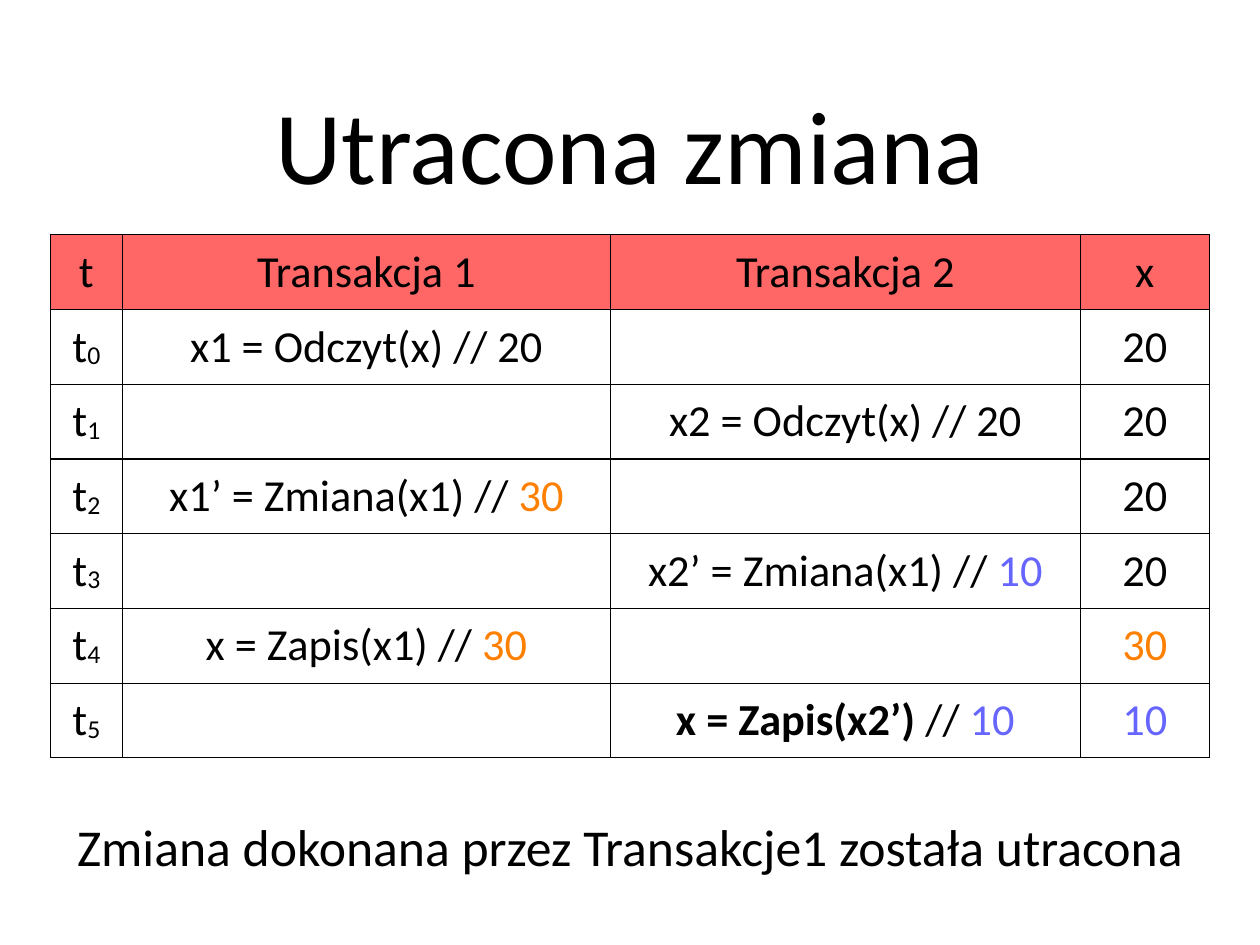
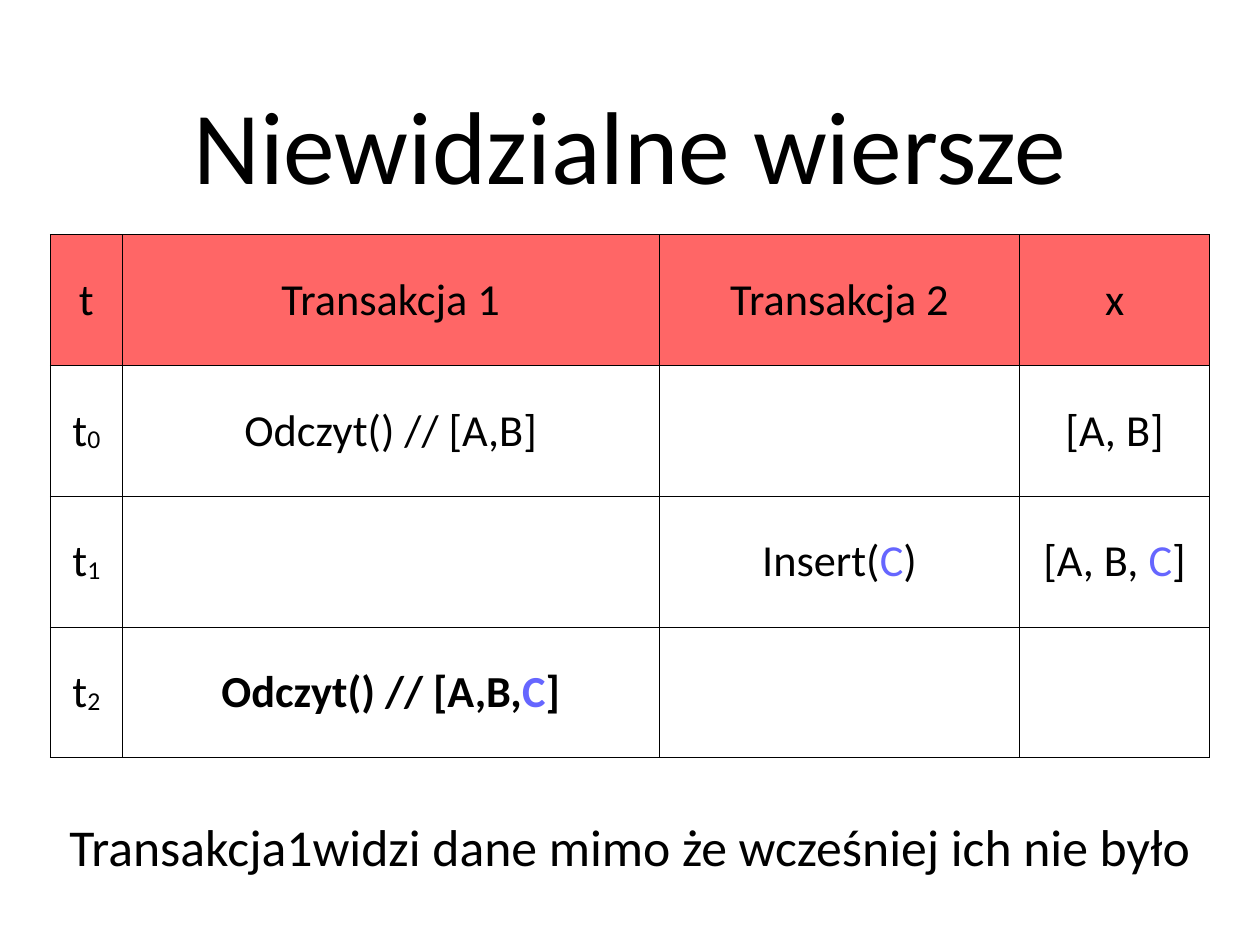
from lxml.etree import SubElement
from pptx import Presentation
from pptx.dml.color import RGBColor
from pptx.enum.text import MSO_ANCHOR, PP_ALIGN
from pptx.oxml.ns import qn
from pptx.util import Inches, Pt

INK = RGBColor(0, 0, 0)
PAPER = RGBColor(255, 255, 255)
CORAL = RGBColor(255, 102, 102)
AMBER = RGBColor(255, 128, 0)
BLUE = RGBColor(102, 102, 255)
FACE = "Calibri"
WIDE, HIGH = 14.22, 10.66
SIDE, TOP, DEPTH = 0.57, 2.65, 5.9
TITLE = (1.39, 0.28, WIDE - 2 * 1.39, 2.67)
NOTE = (0, 9.15, WIDE, 0.79)
HEADS = ("t", "Transakcja 1", "Transakcja 2", "x")

TEN = ("10", {"tone": BLUE})
AMBER_30 = ("30", {"tone": AMBER})
NEW = ("C", {"tone": BLUE})
BOLD = {"bold": True}

SLIDES = [
    {
        "title": "Utracona zmiana",
        "note": "Zmiana dokonana przez Transakcje1 została utracona",
        "cols": (0.81, 5.51, 5.3, 1.46),
        "steps": [
            (["x1 = Odczyt(x) // 20"], [], ["20"]),
            ([], ["x2 = Odczyt(x) // 20"], ["20"]),
            (["x1’ = Zmiana(x1) // ", AMBER_30], [], ["20"]),
            ([], ["x2’ = Zmiana(x1) // ", TEN], ["20"]),
            (["x = Zapis(x1) // ", AMBER_30], [], [AMBER_30]),
            ([], [("x = Zapis(x2’) ", BOLD), "// ", TEN], [TEN]),
        ],
    },
    {
        "title": "Niewidzialne wiersze",
        "note": "Transakcja1widzi dane mimo że wcześniej ich nie było",
        "cols": (0.81, 6.06, 4.07, 2.14),
        "steps": [
            (["Odczyt() // [A,B]"], [], ["[A, B]"]),
            ([], ["Insert(", NEW, ")"], ["[A, B, ", NEW, "]"]),
            ([("Odczyt() // [A,B,", BOLD), ("C", {"tone": BLUE, "bold": True}),
              ("]", BOLD)], [], []),
        ],
    },
]


def style(run, size, tone=INK, bold=False, sub=False):
    font = run.font
    font.name, font.size, font.bold = FACE, Pt(size), bold
    font.color.rgb = tone
    if sub:
        run._r.get_or_add_rPr().set("baseline", "-6000")


def add_line(slide, text, box, size):
    frame = slide.shapes.add_textbox(*map(Inches, box)).text_frame
    frame.word_wrap = True
    frame.vertical_anchor = MSO_ANCHOR.MIDDLE
    frame.margin_left = frame.margin_right = 0
    frame.margin_top = frame.margin_bottom = 0
    frame.text = text
    para = frame.paragraphs[0]
    para.alignment = PP_ALIGN.CENTER
    style(para.runs[0], size)


def add_edges(cell):
    props = cell._tc.get_or_add_tcPr()
    for side in ("lnL", "lnR", "lnT", "lnB"):
        line = SubElement(props, qn("a:" + side), w=str(Pt(0.96)))
        fill = SubElement(line, qn("a:solidFill"))
        SubElement(fill, qn("a:srgbClr"), val=str(INK))


def fill_cell(cell, parts, back):
    add_edges(cell)
    cell.fill.solid()
    cell.fill.fore_color.rgb = back
    cell.vertical_anchor = MSO_ANCHOR.MIDDLE
    cell.margin_left = cell.margin_right = Inches(0.06)
    cell.margin_top = cell.margin_bottom = Inches(0.05)
    para = cell.text_frame.paragraphs[0]
    para.alignment = PP_ALIGN.CENTER
    for part in parts:
        text, look = (part, {}) if isinstance(part, str) else part
        run = para.add_run()
        run.text = text
        style(run, 36, **look)


def add_grid(slide, cols, steps):
    rows = [[[head] for head in HEADS]]
    rows += [[["t", (str(n), {"sub": True})], *step]
             for n, step in enumerate(steps)]
    box = (SIDE, TOP, sum(cols), DEPTH)
    grid = slide.shapes.add_table(len(rows), len(cols), *map(Inches, box)).table
    grid.first_row = grid.horz_banding = False
    for col, width in zip(grid.columns, cols):
        col.width = Inches(width)
    for r, row in enumerate(rows):
        grid.rows[r].height = Inches(DEPTH / len(rows))
        for c, parts in enumerate(row):
            fill_cell(grid.cell(r, c), parts, PAPER if r else CORAL)


def main():
    deck = Presentation()
    deck.slide_width, deck.slide_height = Inches(WIDE), Inches(HIGH)
    for page in SLIDES:
        slide = deck.slides.add_slide(deck.slide_layouts[6])
        add_line(slide, page["title"], TITLE, 84)
        add_grid(slide, page["cols"], page["steps"])
        add_line(slide, page["note"], NOTE, 42)
    deck.save("out.pptx")


if __name__ == "__main__":
    main()
